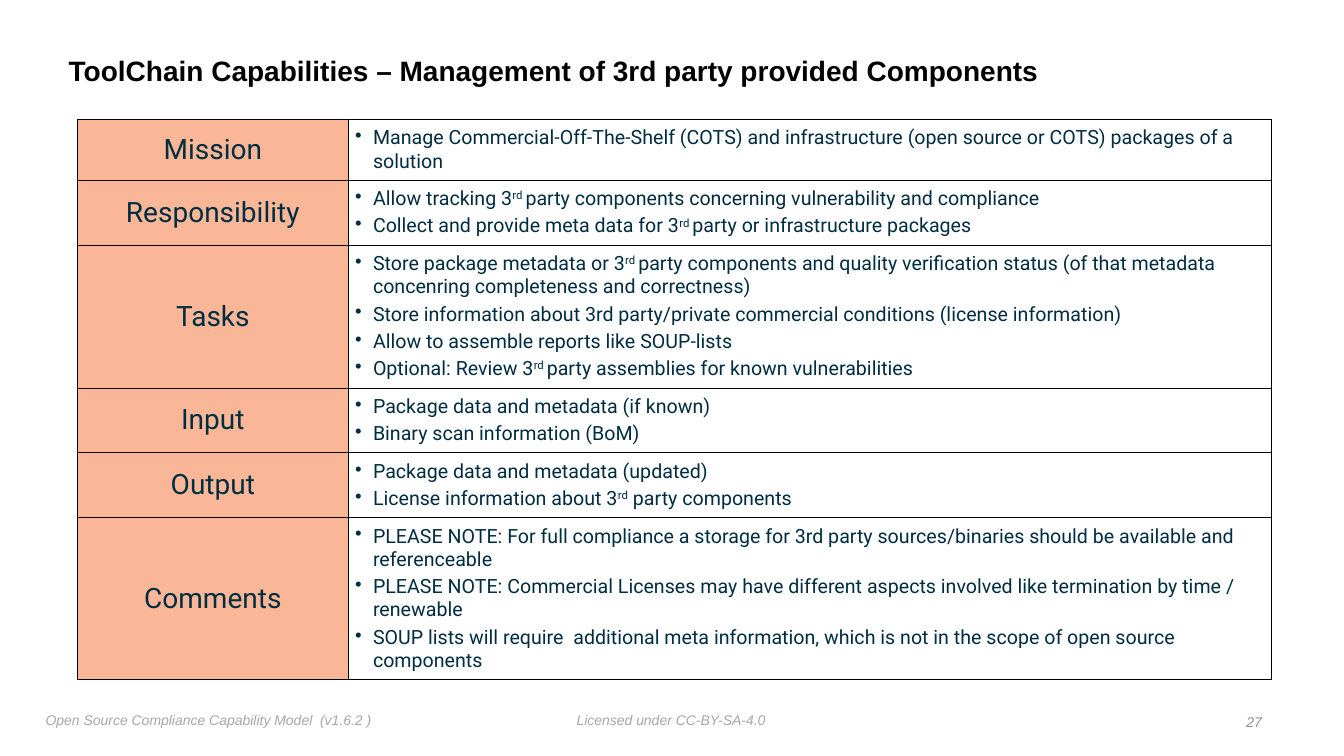
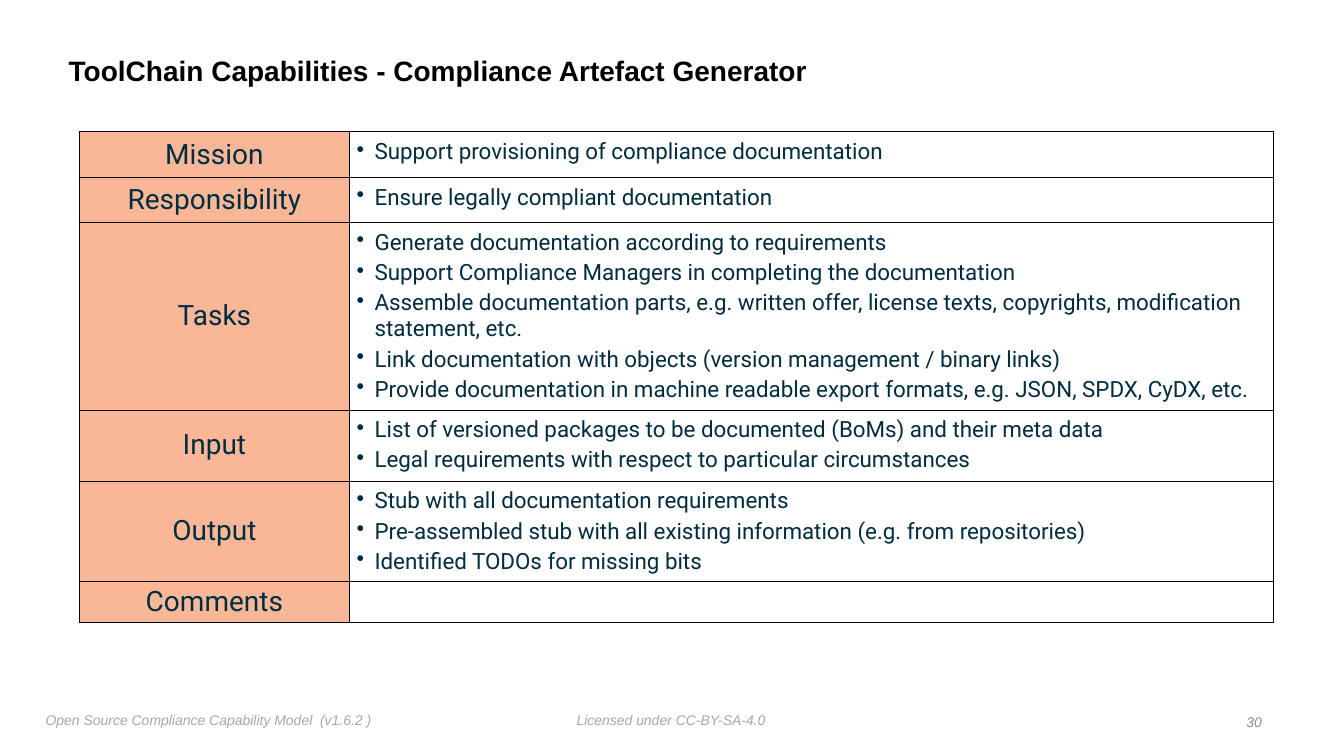
from dataclasses import dataclass

import lxml.etree
import pptx
import pptx.dml.color
import pptx.enum.text
import pptx.oxml.ns
import pptx.util
from pptx.util import Cm, Pt


@dataclass(frozen=True)
class Theme:
    title_font: str = "Arial"
    table_font: str = "Roboto"
    title_color: str = "000000"
    table_color: str = "002D41"
    label_fill: str = "FAB798"
    border_color: str = "000000"
    footer_color: str = "A7A7A7"
    number_color: str = "888C91"
    title_size: int = 20
    label_size: int = 20
    footer_size: int = 10


THEME = Theme()
ALIGN = pptx.enum.text.PP_ALIGN
MIDDLE = pptx.enum.text.MSO_ANCHOR.MIDDLE
COLUMN_WIDTHS = (6.81, 23.27)
LABELS = ("Mission", "Responsibility", "Tasks", "Input", "Output", "Comments")

# Text between carets is superscript.
PAGES = [
    {
        "title": "ToolChain Capabilities – Management of 3rd party provided Components",
        "number": "27",
        "origin": (1.96, 3.01),
        "size": 14,
        "heights": (1.5, 1.63, 3.57, 1.63, 1.63, 4.07),
        "items": (
            ["Manage Commercial-Off-The-Shelf (COTS) and infrastructure (open source or COTS) packages of a solution"],
            ["Allow tracking 3^rd ^party components concerning vulnerability and compliance",
             "Collect and provide meta data for 3^rd ^party or infrastructure packages"],
            ["Store package metadata or 3^rd ^party components and quality verification status "
             "(of that metadata concenring completeness and correctness)",
             "Store information about 3rd party/private commercial conditions (license information)",
             "Allow to assemble reports like SOUP-lists",
             "Optional: Review 3^rd ^party assemblies for known vulnerabilities"],
            ["Package data and metadata (if known)",
             "Binary scan information (BoM)"],
            ["Package data and metadata (updated)",
             "License information about 3^rd^ party components"],
            ["PLEASE NOTE: For full compliance a storage for 3rd party sources/binaries "
             "should be available and referenceable",
             "PLEASE NOTE: Commercial Licenses may have different aspects involved "
             "like termination by time / renewable",
             "SOUP lists will require  additional meta information, "
             "which is not in the scope of open source components"],
        ),
    },
    {
        "title": "ToolChain Capabilities - Compliance Artefact Generator",
        "number": "30",
        "origin": (2, 3.32),
        "size": 16,
        "heights": (1.15, 1.14, 4.71, 1.79, 2.52, 1),
        "items": (
            ["Support provisioning of compliance documentation"],
            ["Ensure legally compliant documentation"],
            ["Generate documentation according to requirements",
             "Support Compliance Managers in completing the documentation",
             "Assemble documentation parts, e.g. written offer, license texts, "
             "copyrights, modification statement, etc.",
             "Link documentation with objects (version management / binary links)",
             "Provide documentation in machine readable export formats, e.g. JSON, SPDX, CyDX, etc."],
            ["List of versioned packages to be documented (BoMs) and their meta data",
             "Legal requirements with respect to particular circumstances"],
            ["Stub with all documentation requirements",
             "Pre-assembled stub with all existing information (e.g. from repositories)",
             "Identified TODOs for missing bits"],
            [],
        ),
    },
]


def add_run(paragraph, text, font, size, color, bold=False, italic=False):
    run = paragraph.add_run()
    run.text = text
    run.font.name = font
    run.font.size = Pt(size)
    run.font.color.rgb = pptx.dml.color.RGBColor.from_string(color)
    run.font.bold = bold
    run.font.italic = italic
    return run


def add_element(parent, tag, **attributes):
    element = lxml.etree.SubElement(parent, pptx.oxml.ns.qn(tag))
    for name, value in attributes.items():
        element.set(name, value)
    return element


deck = pptx.Presentation()
deck.slide_width, deck.slide_height = Cm(33.87), Cm(19.05)

layout = deck.slide_layouts.get_by_name("Title Only")
layout_title = layout.placeholders[0]
layout_title.left, layout_title.top = Cm(1.6), Cm(1)
layout_title.width, layout_title.height = Cm(27.3), Cm(1.65)
title_frame = layout_title.text_frame
title_frame.margin_left = title_frame.margin_right = Cm(0.13)
title_frame.vertical_anchor = MIDDLE
title_frame.auto_size = pptx.enum.text.MSO_AUTO_SIZE.NONE

for page in PAGES:
    slide = deck.slides.add_slide(layout)

    heading = slide.shapes.title.text_frame.paragraphs[0]
    heading.alignment = ALIGN.LEFT
    heading.line_spacing = 0.9
    add_run(heading, page["title"], THEME.title_font, THEME.title_size, THEME.title_color, bold=True)

    left, top = page["origin"]
    table = slide.shapes.add_table(
        len(LABELS), len(COLUMN_WIDTHS), Cm(left), Cm(top),
        Cm(sum(COLUMN_WIDTHS)), Cm(sum(page["heights"]))).table
    table.first_row = table.horz_banding = False
    for column, width in zip(table.columns, COLUMN_WIDTHS):
        column.width = Cm(width)

    for row, height, label, items in zip(table.rows, page["heights"], LABELS, page["items"]):
        row.height = Cm(height)
        label_cell, items_cell = row.cells

        for cell in row.cells:
            properties = cell._tc.get_or_add_tcPr()
            for edge in ("a:lnL", "a:lnR", "a:lnT", "a:lnB"):
                border = add_element(properties, edge, w=str(Pt(0.5)))
                add_element(add_element(border, "a:solidFill"), "a:srgbClr", val=THEME.border_color)

        label_cell.fill.solid()
        label_cell.fill.fore_color.rgb = pptx.dml.color.RGBColor.from_string(THEME.label_fill)
        label_cell.vertical_anchor = MIDDLE
        label_cell.margin_left = label_cell.margin_right = 0
        label_cell.margin_top = label_cell.margin_bottom = 0
        label_line = label_cell.text_frame.paragraphs[0]
        label_line.alignment = ALIGN.CENTER
        add_run(label_line, label, THEME.table_font, THEME.label_size, THEME.table_color)

        items_cell.fill.background()
        if items:
            items_cell.margin_left = items_cell.margin_right = Cm(0.18)
            items_cell.margin_top = items_cell.margin_bottom = Cm(0.18)
        for index, item in enumerate(items):
            frame = items_cell.text_frame
            bullet_line = frame.add_paragraph() if index else frame.paragraphs[0]
            bullet_properties = bullet_line._p.get_or_add_pPr()
            bullet_properties.set("marL", str(Cm(0.45)))
            bullet_properties.set("indent", str(-Cm(0.45)))
            add_element(bullet_properties, "a:buChar", char="•")
            if index:
                bullet_line.space_before = Pt(3)
            for part, text in enumerate(item.split("^")):
                run = add_run(bullet_line, text, THEME.table_font, page["size"], THEME.table_color)
                if part % 2:
                    run._r.get_or_add_rPr().set("baseline", "30000")

    for text, left, top, width, color, alignment in (
        ("Licensed under CC-BY-SA-4.0", 14.4, 17.81, 5.3, THEME.footer_color, ALIGN.LEFT),
        ("Open Source Compliance Capability Model  (v1.6.2 )", 1.02, 17.81, 9, THEME.footer_color, ALIGN.LEFT),
        (page["number"], 30.93, 17.84, 1, THEME.number_color, ALIGN.RIGHT),
    ):
        footer = slide.shapes.add_textbox(Cm(left), Cm(top), Cm(width), Cm(0.65)).text_frame
        footer.word_wrap = True
        footer.margin_left = footer.margin_right = Cm(0.13)
        footer.margin_top = footer.margin_bottom = Cm(0.13)
        footer_line = footer.paragraphs[0]
        footer_line.alignment = alignment
        add_run(footer_line, text, THEME.title_font, THEME.footer_size, color, italic=True)

deck.save("out.pptx")
